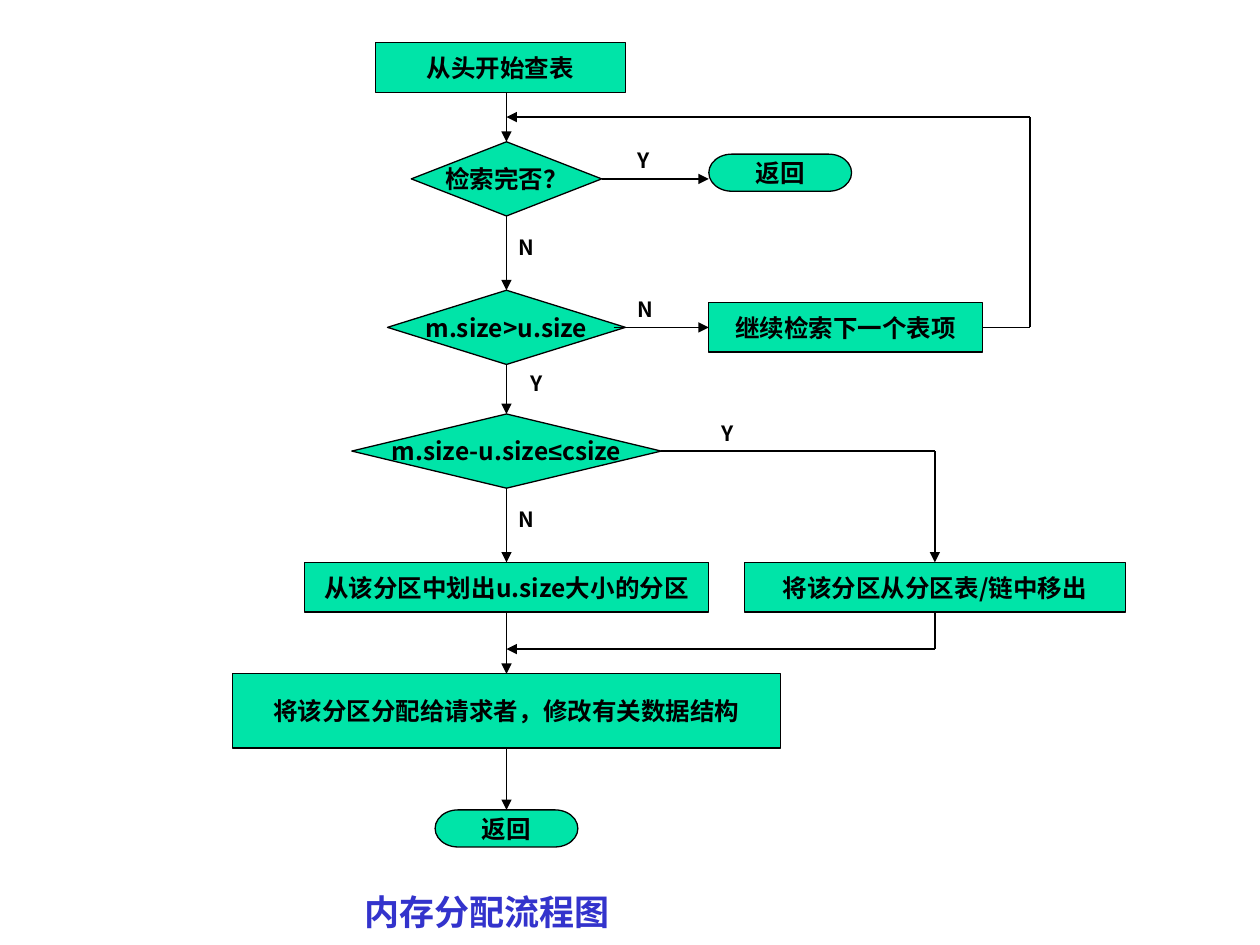
from collections import namedtuple
from itertools import pairwise
from lxml.etree import SubElement
from pptx import Presentation
from pptx.dml.color import RGBColor
from pptx.enum.shapes import MSO_CONNECTOR as Link, MSO_SHAPE as Form
from pptx.enum.text import MSO_ANCHOR as Anchor, MSO_AUTO_SIZE as Fit, PP_ALIGN as Align
from pptx.oxml.ns import qn
from pptx.util import Inches, Pt

FONT = "Noto Sans CJK SC"
INK, MINT, BLUE = "000000", "00E4A8", "3333CC"
STEP, TEST, END = (Form.FLOWCHART_PROCESS, Form.FLOWCHART_DECISION,
                   Form.FLOWCHART_TERMINATOR)

# Columns count from the main axis, rows from the top of the chart
Grid = namedtuple("Grid", "axis top col row")

# Form, left, top, width, height, runs
NODES = [
    (STEP, -11, 0, 21, 4, ["从头开始查表"]),
    (STEP, -17, 42, 34, 4, ["从该分区中划出u.size大小的分区"]),
    (TEST, -8, 8, 16, 6, ["检索完否？"]),
    (END, 17, 9, 12, 3, ["返回"]),
    (TEST, -10, 20, 20, 6, ["m.size>u.size"]),
    (TEST, -13, 30, 26, 6, ["m.size-u.size", "≤", "csize"]),
    (STEP, -23, 51, 46, 6, ["将该分区分配给请求者，修改有关数据结构"]),
    (END, -6, 62, 12, 3, ["返回"]),
    (STEP, 20, 42, 32, 4, ["将该分区从分区表/链中移出"]),
    (STEP, 17, 21, 23, 4, ["继续检索下一个表项"]),
]

# Start and end rows of the arrows down the axis
DOWN = [(4, 8), (14, 20), (26, 30), (36, 42), (46, 51), (57, 62)]

# Corner points of the side routes; each ends in an arrowhead
SIDE = [
    [(8, 11), (17, 11)],
    [(9, 23), (17, 23)],
    [(13, 33), (36, 33), (36, 42)],
    [(36, 46), (36, 49), (0, 49)],
    [(40, 23), (44, 23), (44, 6), (0, 6)],
]

MARKS = [("Y", 10, 8), ("Y", 17, 30), ("Y", 1, 26),
         ("N", 0, 15), ("N", 0, 37), ("N", 10, 20)]


def color(code):
    return RGBColor.from_string(code)


def spot(grid, x, y):
    return int(grid.axis + x * grid.col), int(grid.top + y * grid.row)


def area(grid, x, y, wide, high):
    return *spot(grid, x, y), int(wide * grid.col), int(high * grid.row)


def write(para, text, size, ink=INK, face=FONT):
    run = para.add_run()
    run.text = text
    font = run.font
    font.name, font.size, font.bold = face, Pt(size), True
    font.color.rgb = color(ink)
    SubElement(run._r.get_or_add_rPr(), qn("a:ea")).set("typeface", face)


def node(slide, grid, form, x, y, wide, high, runs):
    shape = slide.shapes.add_shape(form, *area(grid, x, y, wide, high))
    shape.shadow.inherit = False
    shape.fill.solid()
    shape.fill.fore_color.rgb = color(MINT)
    shape.line.color.rgb = color(INK)
    shape.line.width = Pt(0.75)
    frame = shape.text_frame
    frame.word_wrap = False
    frame.vertical_anchor = Anchor.MIDDLE
    para = frame.paragraphs[0]
    para.alignment = Align.CENTER
    for text in runs:
        write(para, text, 14, face="Arial" if text == "≤" else FONT)


def route(slide, grid, stops):
    for start, end in pairwise(stops):
        line = slide.shapes.add_connector(
            Link.STRAIGHT, *spot(grid, *start), *spot(grid, *end))
        line.line.color.rgb = color(INK)
        line.line.width = Pt(0.75)
        if end == stops[-1]:
            SubElement(line.line._get_or_add_ln(), qn("a:tailEnd")).set("type", "triangle")
        SubElement(line._element.spPr, qn("a:effectLst"))


def label(slide, box, text, size, ink=INK):
    frame = slide.shapes.add_textbox(*box).text_frame
    frame.word_wrap = True
    frame.auto_size = Fit.SHAPE_TO_FIT_TEXT
    write(frame.paragraphs[0], text, size, ink)


def flow(slide, grid):
    # Steps, tests and ends
    for item in NODES:
        node(slide, grid, *item)
    # Main path, then side routes
    for top, low in DOWN:
        route(slide, grid, [(0, top), (0, low)])
    for stops in SIDE:
        route(slide, grid, stops)
    # Answers beside the tests
    for text, x, y in MARKS:
        label(slide, area(grid, x, y, 5, 3), text, 12)


def title(slide, grid):
    label(slide, area(grid, -13, 68, 27, 4.5), "内存分配流程图", 20, BLUE)


def main():
    deck = Presentation()
    deck.slide_width, deck.slide_height = Inches(10), Inches(7.5)
    slide = deck.slides.add_slide(deck.slide_layouts[6])
    grid = Grid(Inches(4.02), Inches(0.34), Pt(6.8), Pt(7.07))
    flow(slide, grid)
    title(slide, grid)
    deck.save("out.pptx")


if __name__ == "__main__":
    main()
